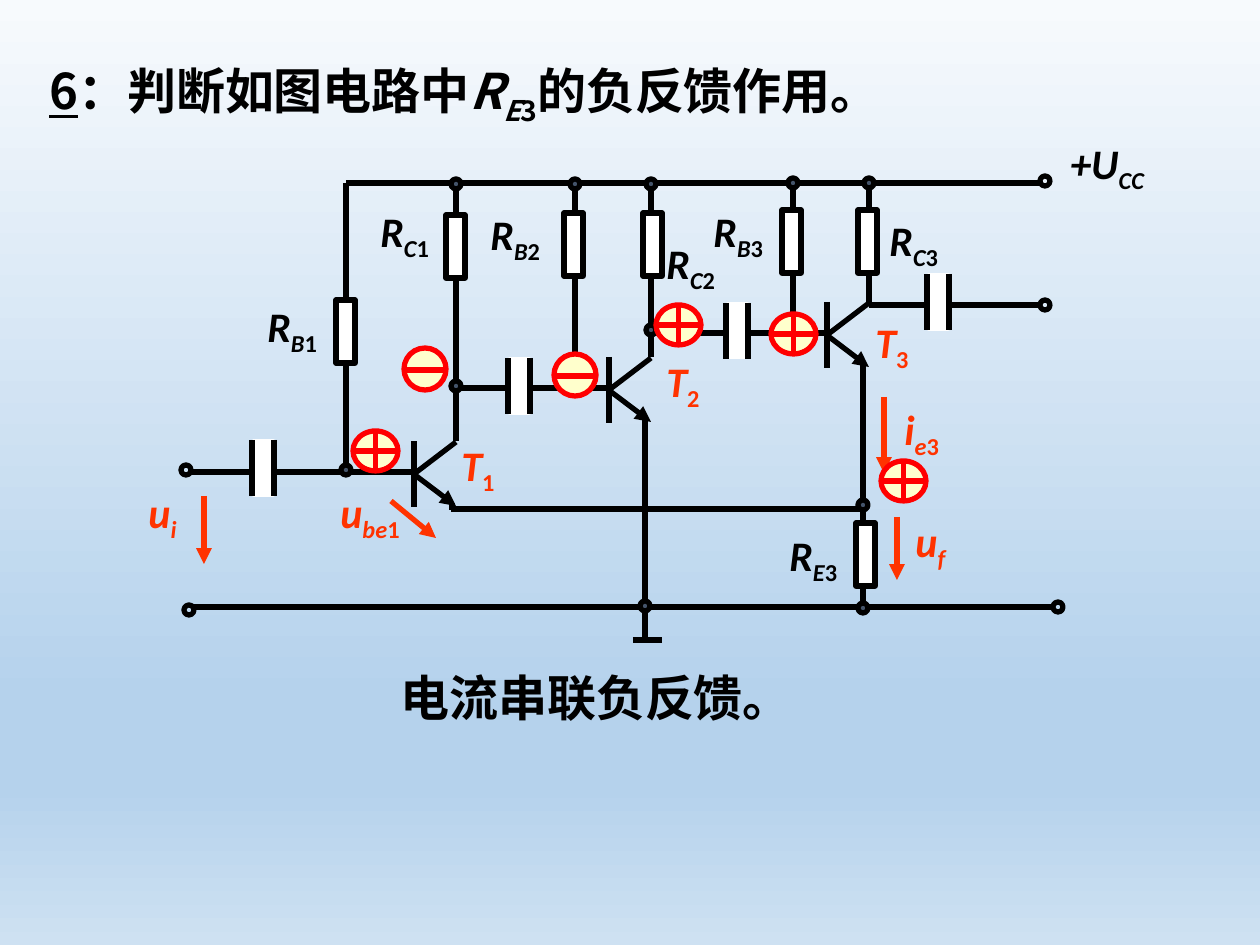
from copy import deepcopy

from lxml.etree import SubElement
from pptx import Presentation
from pptx.dml.color import RGBColor
from pptx.enum.shapes import MSO_CONNECTOR, MSO_SHAPE
from pptx.enum.text import MSO_AUTO_SIZE
from pptx.oxml.ns import qn
from pptx.util import Pt

PX = 914400 / 126
BLACK = RGBColor(0x00, 0x00, 0x00)
WHITE = RGBColor(0xFF, 0xFF, 0xFF)
SLATE = RGBColor(0x44, 0x54, 0x6A)
ORANGE = RGBColor(0xFF, 0x33, 0x00)
RED = RGBColor(0xFF, 0x00, 0x00)
CREAM = RGBColor(0xFF, 0xFF, 0xCC)
HAN, LATIN = "Noto Sans CJK SC", "Calibri"

BACKGROUND = [
    (0.00, RGBColor(0xF7, 0xFA, 0xFD)),
    (0.74, RGBColor(0xB5, 0xD2, 0xEC)),
    (0.83, RGBColor(0xB5, 0xD2, 0xEC)),
    (1.00, RGBColor(0xCE, 0xE1, 0xF2)),
]

# Text runs: (text, style), style letters: i italic, s subscript, u underlined
TITLE = [("6", "u"), ("：判断如图电路中", ""), ("R", "i"), ("E", "is"),
         ("3", "s"), ("的负反馈作用。", "")]
ANSWER = [("电流串联负反馈。", "")]

# Labels: letter, italic subscript, upright subscript, left, top, width, colour
LABELS = [
    ("+U", "CC", "", 1058, 131, 116, BLACK),
    ("R", "B", "1", 255, 294, 86, BLACK),
    ("R", "C", "1", 368, 199, 86, BLACK),
    ("R", "B", "2", 478, 202, 86, BLACK),
    ("R", "C", "2", 654, 231, 86, BLACK),
    ("R", "B", "3", 701, 199, 86, BLACK),
    ("R", "C", "3", 877, 208, 86, BLACK),
    ("R", "E", "3", 777, 523, 86, BLACK),
    ("T", "", "1", 449, 433, 64, ORANGE),
    ("T", "", "2", 654, 349, 64, ORANGE),
    ("T", "", "3", 863, 310, 64, ORANGE),
    ("u", "i", "", 136, 480, 57, ORANGE),
    ("u", "be", "1", 328, 480, 88, ORANGE),
    ("u", "f", "", 903, 509, 58, ORANGE),
    ("i", "e", "3", 892, 397, 63, ORANGE),
]

# Lines: x1, y1, x2, y2
WIRES = [
    (346, 183, 1040, 183), (192, 607, 1052, 607),   # supply and ground rails
    (346, 470, 346, 183), (456, 441, 456, 183), (575, 388, 575, 183),
    (651, 357, 651, 183), (793, 333, 793, 183), (869, 305, 869, 183),
    (414, 472, 189, 472), (606, 388, 456, 388), (827, 333, 651, 333),
    (869, 305, 1040, 305),                          # output
    (863, 365, 863, 607), (863, 509, 451, 509), (452, 510, 452, 503),
    (645, 417, 645, 642), (633, 640, 662, 640),     # ground symbol
]
ARROWS = [(884, 397, 884, 473), (897, 517, 897, 580),
          (391, 501, 436, 538), (204, 496, 204, 564)]

# Left and top of each part
TRANSISTORS = [(414, 441), (609, 357), (827, 302)]
RESISTORS = [(446, 215), (336, 300), (856, 523), (564, 213), (643, 213),
             (782, 210), (858, 210)]
CAPACITORS = [(252, 440), (508, 358), (726, 303), (927, 274)]
PLUS_SIGNS = [(353, 431), (881, 461), (656, 305), (771, 314)]
MINUS_SIGNS = [(404, 348), (554, 354)]

# Centres
JUNCTIONS = [(456, 184), (575, 184), (651, 184), (793, 183), (869, 183),
             (346, 470), (456, 386), (575, 386), (651, 330), (793, 333),
             (863, 505), (863, 608), (645, 606)]
TERMINALS = [(186, 470), (189, 610), (1045, 181), (1045, 305), (1058, 607)]


def emu(*lengths):
    return [round(length * PX) for length in lengths]


def draw_line(page, ends, color=BLACK, arrow=False):
    line = page.shapes.add_connector(MSO_CONNECTOR.STRAIGHT, *emu(*ends))
    line.line.color.rgb = color
    line.line.width = Pt(3)
    if arrow:
        SubElement(line.line._get_or_add_ln(), qn("a:tailEnd"), type="triangle")
    SubElement(line._element.spPr, qn("a:effectLst"))


def draw_shape(page, kind, left, top, width, height, fill, outline):
    shape = page.shapes.add_shape(kind, *emu(left, top, width, height))
    shape.shadow.inherit = False
    if fill is None:
        shape.fill.background()
    else:
        shape.fill.solid()
        shape.fill.fore_color.rgb = fill
    shape.line.color.rgb = outline
    shape.line.width = Pt(3)


def write_text(page, place, spans, face, size, color=BLACK, wrap=True):
    box = page.shapes.add_textbox(*emu(*place))
    frame = box.text_frame
    frame.word_wrap = wrap
    frame.auto_size = MSO_AUTO_SIZE.SHAPE_TO_FIT_TEXT
    para = frame.paragraphs[0]
    font = para.font
    font.size, font.bold, font.name = Pt(size), True, face
    font.color.rgb = color
    SubElement(font._element, qn("a:ea"), typeface=face)
    for text, style in spans:
        span = para.add_run()
        span.text = text
        if "i" in style:
            span.font.italic = True
        if "u" in style:
            span.font.underline = True
        if "s" in style:
            span.font._element.set("baseline", "-25000")


def paint_background(page):
    fill = page.background.fill
    fill.gradient()
    fill.gradient_angle = 270
    stops = next(page.element.iter(qn("a:gsLst")))
    while len(stops) < len(BACKGROUND):
        stops.append(deepcopy(stops[0]))
    for stop, (position, color) in zip(fill.gradient_stops, BACKGROUND):
        stop.position = position
        stop.color.rgb = color


def main():
    deck = Presentation()
    deck.slide_width, deck.slide_height = emu(1260, 945)
    page = deck.slides.add_slide(deck.slide_layouts[6])
    paint_background(page)
    write_text(page, (37, 54, 1032, 72), TITLE, HAN, 28)

    # Circuit
    for wire in WIRES:
        draw_line(page, wire)
    for x, y in TRANSISTORS:
        draw_line(page, (x, y, x, y + 66))
        draw_line(page, (x, y + 33, x + 42, y + 1))
        draw_line(page, (x + 1, y + 34, x + 42, y + 65), arrow=True)
    for x, y in RESISTORS:
        draw_shape(page, MSO_SHAPE.RECTANGLE, x, y, 19, 63, WHITE, BLACK)
    for x, y in CAPACITORS:
        draw_shape(page, MSO_SHAPE.RECTANGLE, x + 2, y + 2, 19, 52, WHITE, WHITE)
        for plate in (x, x + 22):
            draw_line(page, (plate, y, plate, y + 56))
    for centres, fill in ((JUNCTIONS, SLATE), (TERMINALS, None)):
        for x, y in centres:
            draw_shape(page, MSO_SHAPE.OVAL, x - 5, y - 5, 10, 10, fill, BLACK)

    # Labels and signal arrows
    for letter, slanted, upright, left, top, width, color in LABELS:
        parts = [(letter, "i"), (slanted, "is"), (upright, "s")]
        spans = [part for part in parts if part[0]]
        write_text(page, (left, top, width, 63), spans, LATIN, 24, color, False)
    for arrow in ARROWS:
        draw_line(page, arrow, ORANGE, arrow=True)
    write_text(page, (388, 661, 462, 72), ANSWER, HAN, 28)

    # Polarity signs
    for x, y in PLUS_SIGNS:
        draw_shape(page, MSO_SHAPE.FLOWCHART_OR, x, y, 45, 40, CREAM, RED)
    for x, y in MINUS_SIGNS:
        draw_shape(page, MSO_SHAPE.OVAL, x, y, 42, 42, CREAM, RED)
        draw_line(page, (x - 1, y + 22, x + 43, y + 22), RED)

    deck.save("out.pptx")


if __name__ == "__main__":
    main()
